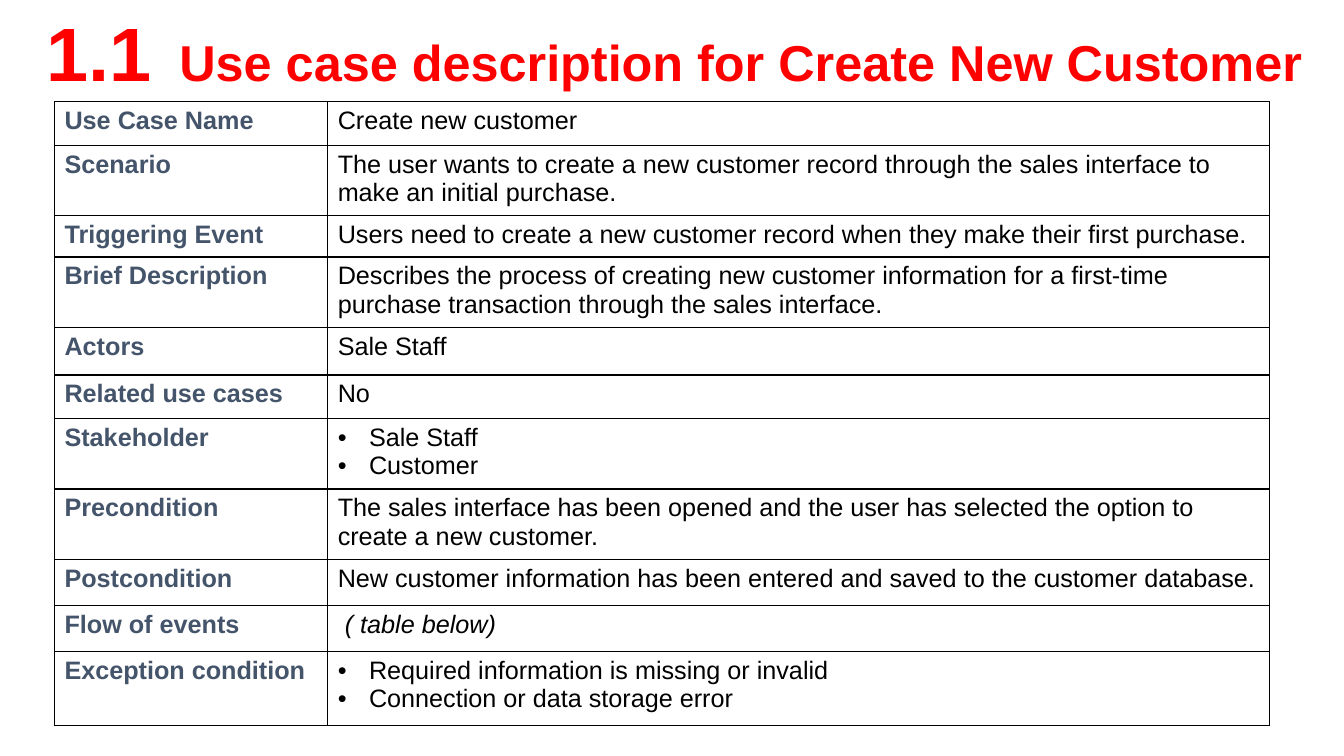
from lxml import etree
from pptx import Presentation
from pptx.dml.color import RGBColor
from pptx.enum.text import MSO_ANCHOR, MSO_AUTO_SIZE
from pptx.oxml.ns import qn
from pptx.util import Inches, Pt

BOTTOM = MSO_ANCHOR.BOTTOM
GROW = MSO_AUTO_SIZE.SHAPE_TO_FIT_TEXT

FONT = "Arial"
COLORS = {"title": "FF0000", "label": "44546A", "text": "000000",
          "border": "000000"}
TITLE_NUMBER = "1.1"
TITLE = "Use case description for Create New Customer"

# label, row height, description (a list is bulleted)
USE_CASE = [
    ("Use Case Name", 0.43, "Create new customer"),
    ("Scenario", 0.7, "The user wants to create a new customer record through "
     "the sales interface to make an initial purchase."),
    ("Triggering Event", 0.41, "Users need to create a new customer record "
     "when they make their first purchase."),
    ("Brief Description", 0.7, "Describes the process of creating new customer "
     "information for a first-time purchase transaction through the sales "
     "interface."),
    ("Actors", 0.47, "Sale Staff"),
    ("Related use cases", 0.43, "No"),
    ("Stakeholder", 0.7, ["Sale Staff", "Customer"]),
    ("Precondition", 0.7, "The sales interface has been opened and the user "
     "has selected the option to create a new customer."),
    ("Postcondition", 0.46, "New customer information has been entered and "
     "saved to the customer database."),
    ("Flow of events", 0.45, "( table below)"),
    ("Exception condition", 0.74, ["Required information is missing or invalid",
                                   "Connection or data storage error"]),
]
ITALIC_ROW = "Flow of events"
ITALIC_INDENT = 0.07
BULLET_INDENT = 0.31
COLUMN_WIDTHS = [2.71, 9.34]
TABLE_LEFT, TABLE_TOP = 0.54, 1.01


def add_span(para, text, size, color, bold=False, italic=False):
    span = para.add_run()
    span.text = text
    font = span.font
    font.name, font.size, font.bold, font.italic = FONT, Pt(size), bold, italic
    font.color.rgb = RGBColor.from_string(COLORS[color])
    return span


def indent(para, left, first=0):
    properties = para._p.get_or_add_pPr()
    properties.set("marL", str(Inches(left)))
    properties.set("indent", str(Inches(first)))
    return properties


def add_bullet(para):
    properties = indent(para, BULLET_INDENT, -BULLET_INDENT)
    etree.SubElement(properties, qn("a:buFont")).set("typeface", FONT)
    etree.SubElement(properties, qn("a:buChar")).set("char", "•")


def style_cell(cell):
    """Give the cell thin borders on all sides and no fill."""
    properties = cell._tc.get_or_add_tcPr()
    for side in ("a:lnL", "a:lnR", "a:lnT", "a:lnB"):
        line = etree.SubElement(properties, qn(side), w=str(Pt(1)))
        fill = etree.SubElement(line, qn("a:solidFill"))
        etree.SubElement(fill, qn("a:srgbClr")).set("val", COLORS["border"])
    cell.fill.background()


def add_title(page):
    box = page.shapes.add_textbox(Inches(0.36), 0, Inches(12.67), Inches(1.01))
    frame = box.text_frame
    frame.word_wrap = True
    frame.auto_size = GROW
    frame.vertical_anchor = BOTTOM
    para = frame.paragraphs[0]
    add_span(para, TITLE_NUMBER, 54, "title", bold=True)
    gap = add_span(para, " ", 36, "title", bold=True)
    gap.font._element.set("spc", "1000")  # widens the gap by 10 points
    add_span(para, TITLE, 36, "title", bold=True)


def add_use_case_table(page):
    height = sum(row_height for _, row_height, _ in USE_CASE)
    table = page.shapes.add_table(
        len(USE_CASE), len(COLUMN_WIDTHS), Inches(TABLE_LEFT),
        Inches(TABLE_TOP), Inches(sum(COLUMN_WIDTHS)), Inches(height)).table
    table.first_row = table.horz_banding = False
    for column, width in zip(table.columns, COLUMN_WIDTHS):
        column.width = Inches(width)

    for index, (label, row_height, description) in enumerate(USE_CASE):
        table.rows[index].height = Inches(row_height)
        label_cell, text_cell = table.cell(index, 0), table.cell(index, 1)
        style_cell(label_cell)
        style_cell(text_cell)
        add_span(label_cell.text_frame.paragraphs[0], label, 18, "label",
                 bold=True)

        bulleted = isinstance(description, list)
        italic = label == ITALIC_ROW
        frame = text_cell.text_frame
        for number, text in enumerate(description if bulleted else [description]):
            para = frame.add_paragraph() if number else frame.paragraphs[0]
            if bulleted:
                add_bullet(para)
            elif italic:
                indent(para, ITALIC_INDENT)
            add_span(para, text, 18, "text", italic=italic)


def main():
    deck = Presentation()
    deck.slide_width, deck.slide_height = Inches(13.33), Inches(7.5)
    page = deck.slides.add_slide(deck.slide_layouts[6])
    add_title(page)
    add_use_case_table(page)
    deck.save("out.pptx")


if __name__ == "__main__":
    main()
